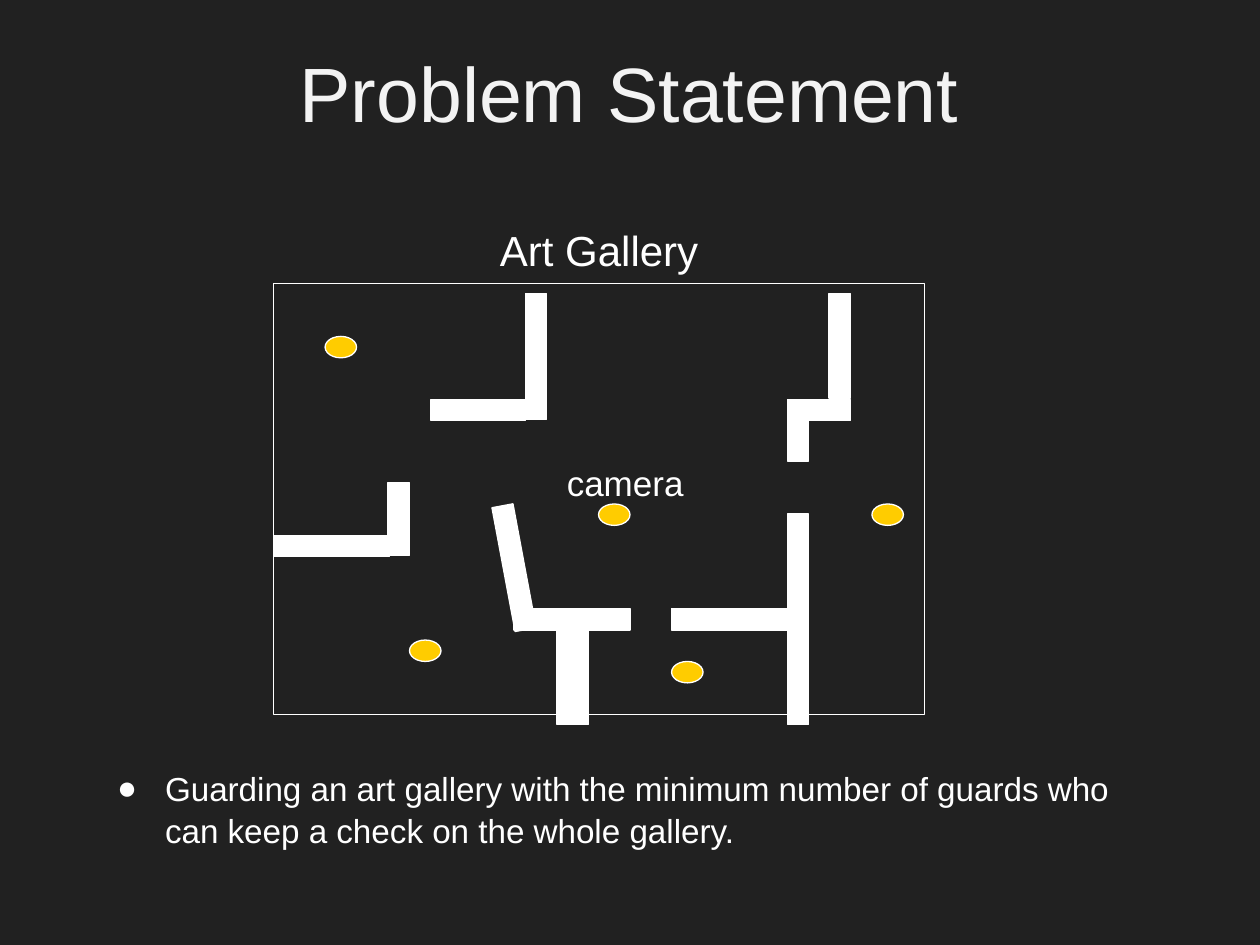
from lxml.etree import SubElement
from pptx import Presentation
from pptx.dml.color import RGBColor
from pptx.enum.shapes import MSO_SHAPE
from pptx.enum.text import MSO_ANCHOR, MSO_AUTO_SIZE, PP_ALIGN
from pptx.oxml.ns import qn
from pptx.util import Inches, Pt

BACKGROUND = RGBColor(0x21, 0x21, 0x21)
WHITE = RGBColor(0xFF, 0xFF, 0xFF)
TITLE_COLOR = RGBColor(0xF3, 0xF3, 0xF3)
CAMERA_COLOR = RGBColor(0xFF, 0xCC, 0x00)
THICKNESS = 0.17  # of walls, and height of cameras


def add_figure(kind, left, top, width, height, color=None):
    """Add a white-outlined shape, unfilled when no color is given."""
    shape = slide.shapes.add_shape(
        kind, Inches(left), Inches(top), Inches(width), Inches(height))
    shape.shadow.inherit = False
    if color is None:
        shape.fill.background()
    else:
        shape.fill.solid()
        shape.fill.fore_color.rgb = color
    shape.line.color.rgb = WHITE
    shape.line.width = Pt(0.75)
    return shape


def write_text(shape, box, text, size, color, alignment, top_inset, line_spacing=1.0):
    """Place a text shape and fill it with one formatted paragraph."""
    for name, value in zip(("left", "top", "width", "height"), box):
        setattr(shape, name, Inches(value))
    frame_format = {
        "word_wrap": True, "auto_size": MSO_AUTO_SIZE.NONE,
        "vertical_anchor": MSO_ANCHOR.TOP, "margin_top": Inches(top_inset),
        "margin_left": Inches(0.1), "margin_right": Inches(0.1),
        "margin_bottom": Inches(0.05),
    }
    for name, value in frame_format.items():
        setattr(shape.text_frame, name, value)
    paragraph = shape.text_frame.paragraphs[0]
    paragraph_format = {"text": text, "alignment": alignment,
                        "space_before": Pt(0), "line_spacing": line_spacing}
    for name, value in paragraph_format.items():
        setattr(paragraph, name, value)
    font = paragraph.runs[0].font
    for name, value in {"size": Pt(size), "name": "Arial"}.items():
        setattr(font, name, value)
    font.color.rgb = color
    return paragraph


presentation = Presentation()
presentation.slide_width = Inches(10)
presentation.slide_height = Inches(7.5)
slide = presentation.slides.add_slide(presentation.slide_layouts[1])
slide.background.fill.solid()
slide.background.fill.fore_color.rgb = BACKGROUND

# Gallery outline and inner walls
add_figure(MSO_SHAPE.RECTANGLE, 2.17, 2.25, 5.17, 3.42)

horizontal_walls = [(2.17, 4.25, 0.92), (4.08, 4.83, 0.92), (5.33, 4.83, 0.92),
                    (6.25, 3.17, 0.5), (3.42, 3.17, 0.75)]
for left, top, length in horizontal_walls:
    add_figure(MSO_SHAPE.RECTANGLE, left, top, length, THICKNESS, WHITE)

vertical_walls = [(3.08, 3.83, 0.58), (6.25, 4.08, 1.67), (6.58, 2.33, 0.83),
                  (6.25, 3.33, 0.33), (4.17, 2.33, 1)]
for left, top, length in vertical_walls:
    add_figure(MSO_SHAPE.RECTANGLE, left, top, THICKNESS, length, WHITE)

add_figure(MSO_SHAPE.RECTANGLE, 4.42, 5, 0.25, 0.75, WHITE)
slanted_wall = add_figure(MSO_SHAPE.RECTANGLE, 3.58, 4.42, 1, THICKNESS, WHITE)
slanted_wall.rotation = 259.4

# Cameras
for left, top in [(2.58, 2.67), (3.25, 5.08), (4.75, 4), (5.33, 5.25), (6.92, 4)]:
    add_figure(MSO_SHAPE.OVAL, left, top, 0.25, THICKNESS, CAMERA_COLOR)

# Labels
labels = [
    ((4.4, 3.6, 1.13, 0.44), "camera", 20, PP_ALIGN.LEFT, 0.06),
    ((3.01, 1.65, 3.49, 0.44), "Art Gallery", 24, PP_ALIGN.CENTER, 0.13),
]
for box, text, size, alignment, top_inset in labels:
    label = slide.shapes.add_textbox(0, 0, 0, 0)
    write_text(label, box, text, size, WHITE, alignment, top_inset)

# Title and statement
write_text(slide.shapes.title, (1.74, 0.19, 6.51, 0.75), "Problem Statement",
           44, TITLE_COLOR, PP_ALIGN.CENTER, 0.17)
statement = write_text(
    slide.placeholders[1], (0.71, 5.98, 8.33, 1.33),
    "Guarding an art gallery with the minimum number of guards who can keep "
    "a check on the whole gallery.", 19, WHITE, PP_ALIGN.LEFT, 0.1, 1.05)
properties = statement._p.get_or_add_pPr()
properties.set("marL", str(Inches(0.5)))
properties.set("indent", str(Inches(-0.38)))
bullet_color = SubElement(properties, qn("a:buClr"))
SubElement(bullet_color, qn("a:srgbClr"), val=str(WHITE))
SubElement(properties, qn("a:buFont"), typeface="Arial")
SubElement(properties, qn("a:buChar"), char="●")

presentation.save("out.pptx")
